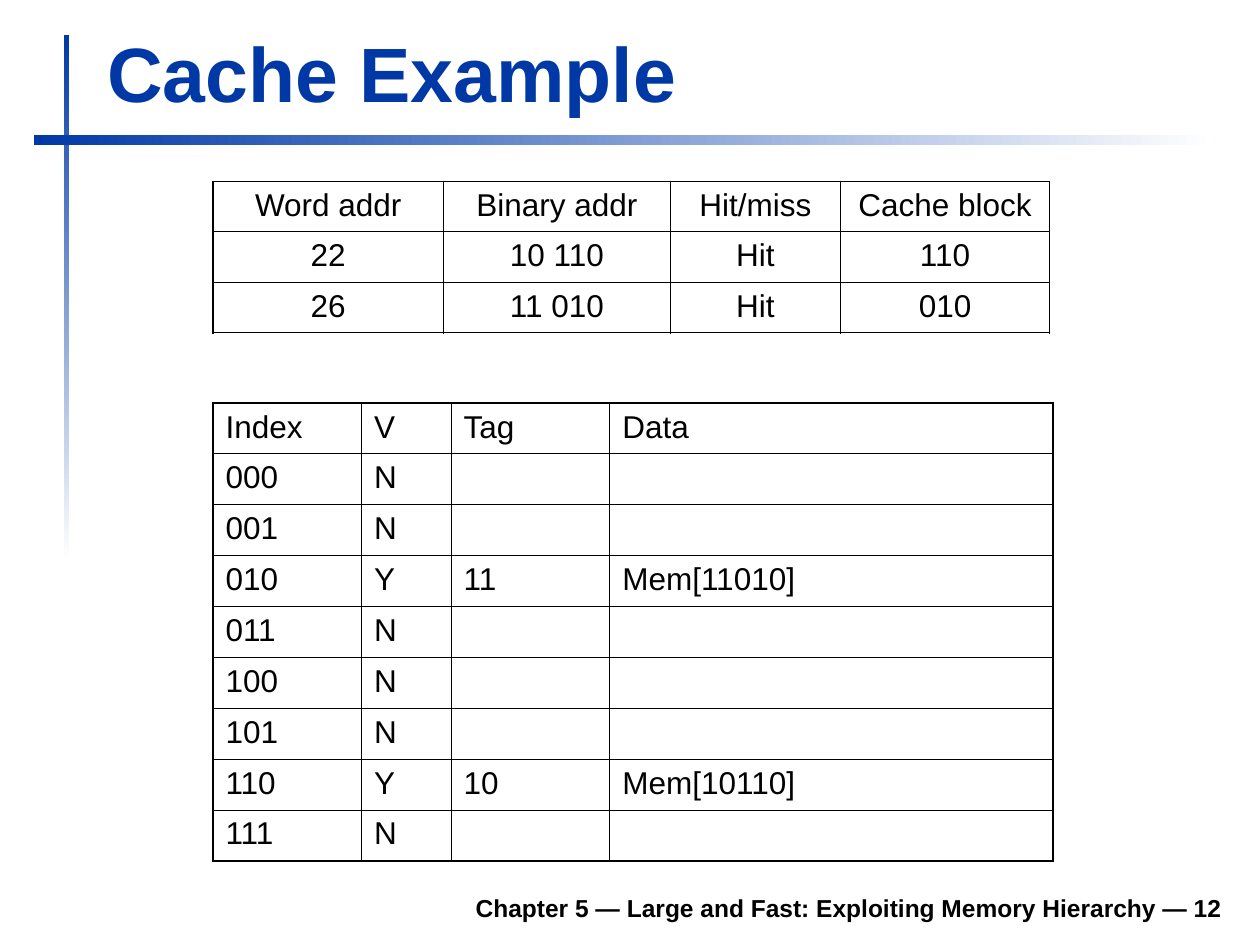
"""Build the cache example slide with its access table and cache contents."""
from lxml import etree
from pptx import Presentation, util as u
from pptx.dml.color import RGBColor
from pptx.enum import shapes, text
from pptx.oxml.ns import qn

BLUE = RGBColor(0x00, 0x39, 0xA6)
WHITE = RGBColor(0xFF, 0xFF, 0xFF)
BLACK = RGBColor(0x00, 0x00, 0x00)
FONT = "Arial"
ROW_HEIGHT = 0.4
OUTER, MIDDLE, THIN = 1.08, 0.74, 0.45

TITLE = "Cache Example"
FOOTER = "Chapter 5 — Large and Fast: Exploiting Memory Hierarchy — 12"
BARS = [((0.51, 0.28, 0.04, 4.17), 270), ((0.27, 1.07, 9.37, 0.08), 0)]
ACCESSES = [
    ("Word addr", "Binary addr", "Hit/miss", "Cache block"),
    ("22", "10 110", "Hit", "110"),
    ("26", "11 010", "Hit", "010"),
]
CACHED = {"010": ("Y", "11", "Mem[11010]"), "110": ("Y", "10", "Mem[10110]")}
INDEXES = [f"{number:03b}" for number in range(8)]
CACHE = [("Index", "V", "Tag", "Data")] + [
    (index, *CACHED.get(index, ("N", "", ""))) for index in INDEXES
]
TABLES = [
    {"rows": CACHE, "top": 3.2, "widths": (1.18, 0.71, 1.26, 3.52),
     "align": text.PP_ALIGN.LEFT, "rules": [MIDDLE] + [THIN] * 7},
    {"rows": ACCESSES, "top": 1.44, "widths": (1.83, 1.8, 1.35, 1.66),
     "align": text.PP_ALIGN.CENTER, "rules": [MIDDLE] * 2},
]


def box(left, top, width, height):
    return [u.Inches(value) for value in (left, top, width, height)]


def add_run(paragraph, words, size, color=BLACK, bold=False):
    run = paragraph.add_run()
    run.text = words
    run.font.name = FONT
    run.font.size = u.Pt(size)
    run.font.bold = bold
    run.font.color.rgb = color


def set_borders(cell, widths):
    properties = cell._tc.get_or_add_tcPr()
    for side, width in zip("LRTB", widths):
        line = etree.SubElement(properties, qn(f"a:ln{side}"), w=str(u.Pt(width)))
        fill = etree.SubElement(line, qn("a:solidFill"))
        etree.SubElement(fill, qn("a:srgbClr"), val=str(BLACK))


def add_grid(slide, rows, top, widths, align, rules):
    frame = slide.shapes.add_table(
        len(rows), len(widths),
        *box(1.69, top, sum(widths), ROW_HEIGHT * len(rows)))
    table = frame.table
    table.first_row = table.horz_banding = False
    for column, width in zip(table.columns, widths):
        column.width = u.Inches(width)
    across = [OUTER] + rules + [OUTER]
    down = [OUTER] + [THIN] * (len(widths) - 1) + [OUTER]
    for i, row in enumerate(rows):
        table.rows[i].height = u.Inches(ROW_HEIGHT)
        for j, words in enumerate(row):
            cell = table.cell(i, j)
            set_borders(cell, (down[j], down[j + 1], across[i], across[i + 1]))
            cell.fill.background()
            paragraph = cell.text_frame.paragraphs[0]
            paragraph.alignment = align
            paragraph.space_before = u.Pt(4.5)
            if words:
                add_run(paragraph, words, 18)


presentation = Presentation()
presentation.slide_width, presentation.slide_height = u.Inches(10), u.Inches(7.5)
slide = presentation.slides.add_slide(presentation.slide_layouts[5])

for place, angle in BARS:
    bar = slide.shapes.add_shape(shapes.MSO_SHAPE.RECTANGLE, *box(*place))
    bar.shadow.inherit = False
    bar.line.fill.background()
    bar.fill.gradient()
    bar.fill.gradient_angle = angle
    for stop, color in zip(bar.fill.gradient_stops, (BLUE, WHITE)):
        stop.color.rgb = color

title = slide.shapes.title
title.left, title.top, title.width, title.height = box(0.75, 0.16, 9.03, 0.83)
footer = slide.shapes.add_textbox(*box(1.85, 6.98, 7.95, 0.39))
for shape, words, size, color, align in [
    (title, TITLE, 44, BLUE, text.PP_ALIGN.LEFT),
    (footer, FOOTER, 14, BLACK, text.PP_ALIGN.RIGHT),
]:
    frame = shape.text_frame
    frame.word_wrap = True
    frame.auto_size = text.MSO_AUTO_SIZE.NONE
    frame.vertical_anchor = text.MSO_ANCHOR.BOTTOM
    frame.paragraphs[0].alignment = align
    add_run(frame.paragraphs[0], words, size, color, True)

for table in TABLES:
    add_grid(slide, **table)

presentation.save("out.pptx")
